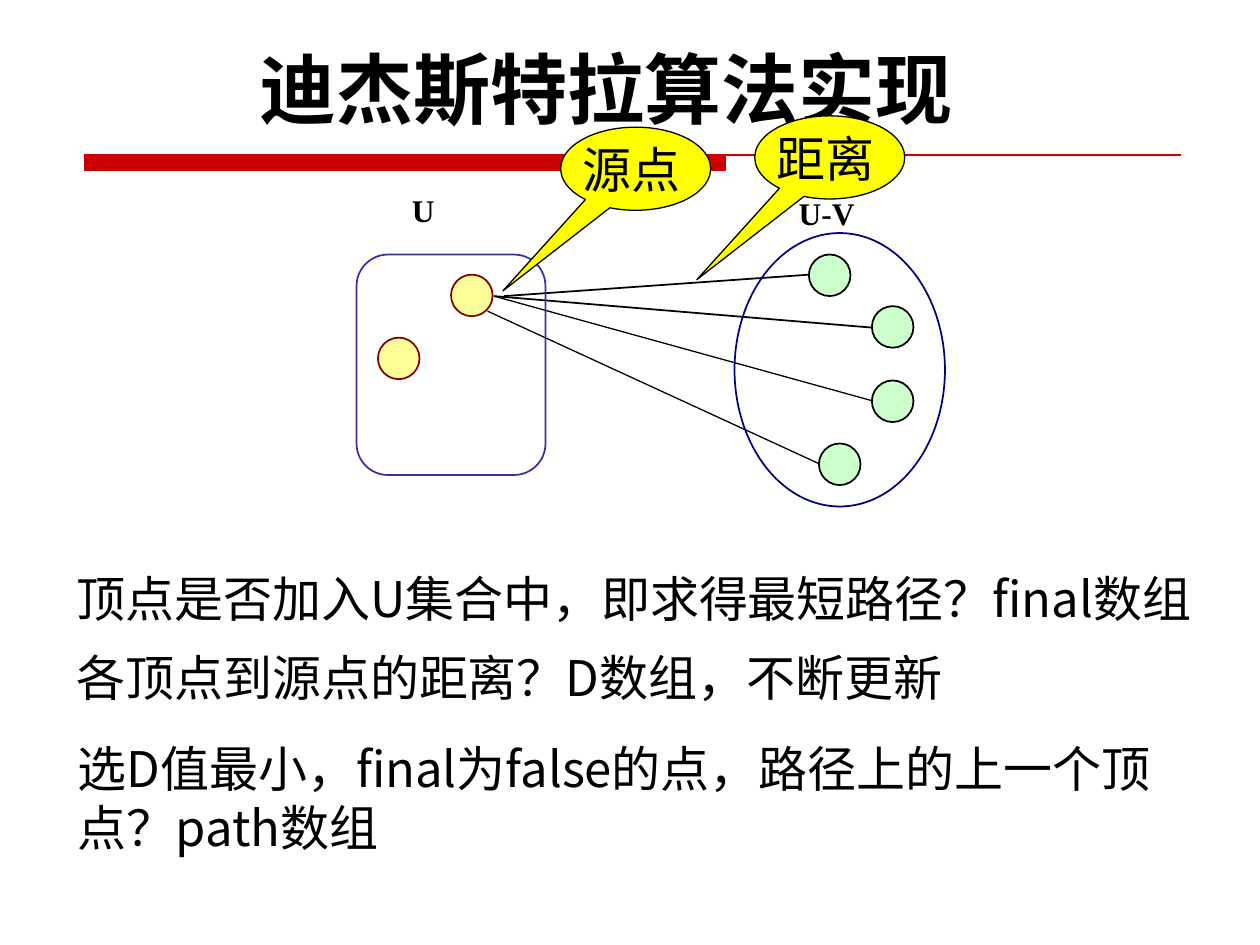
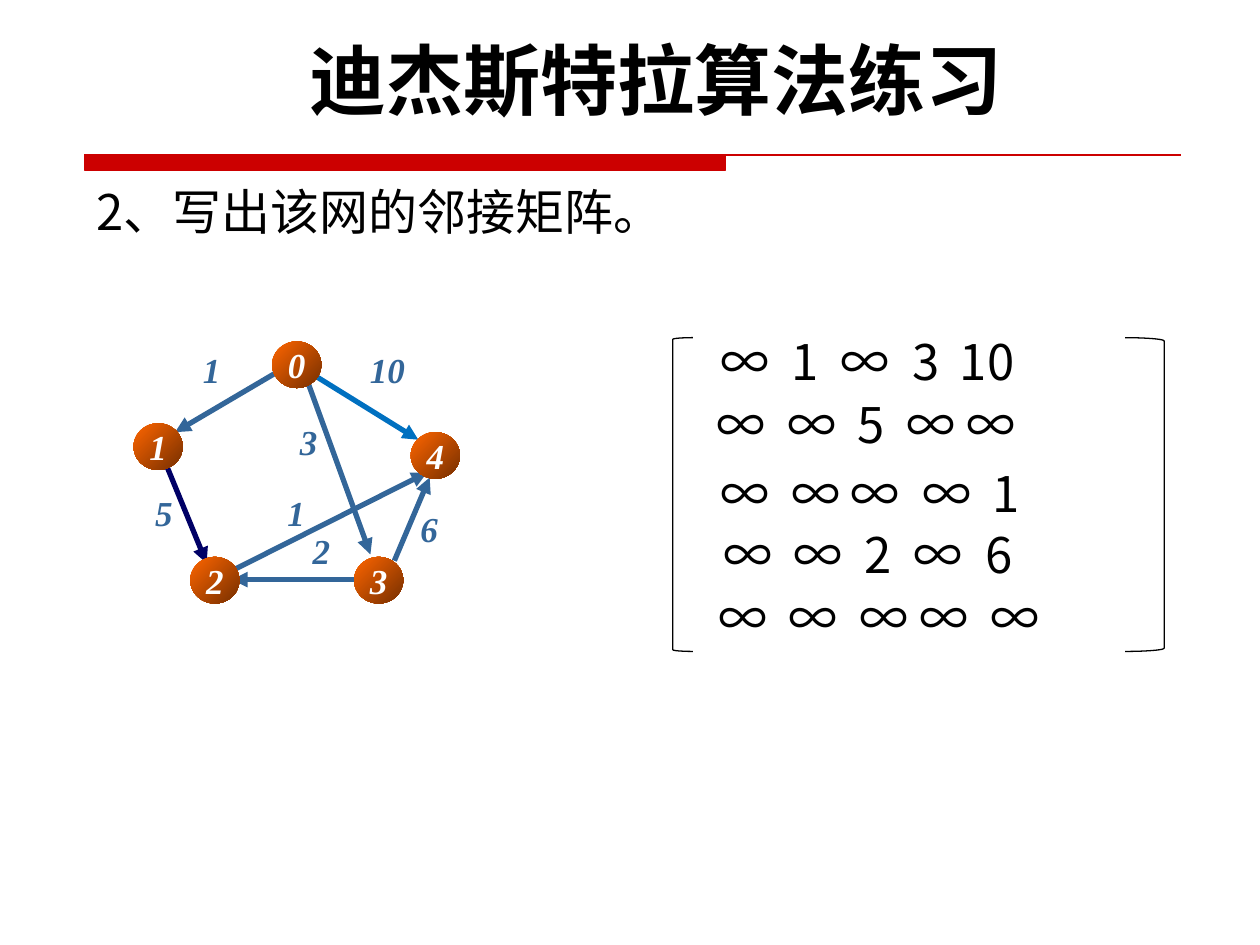
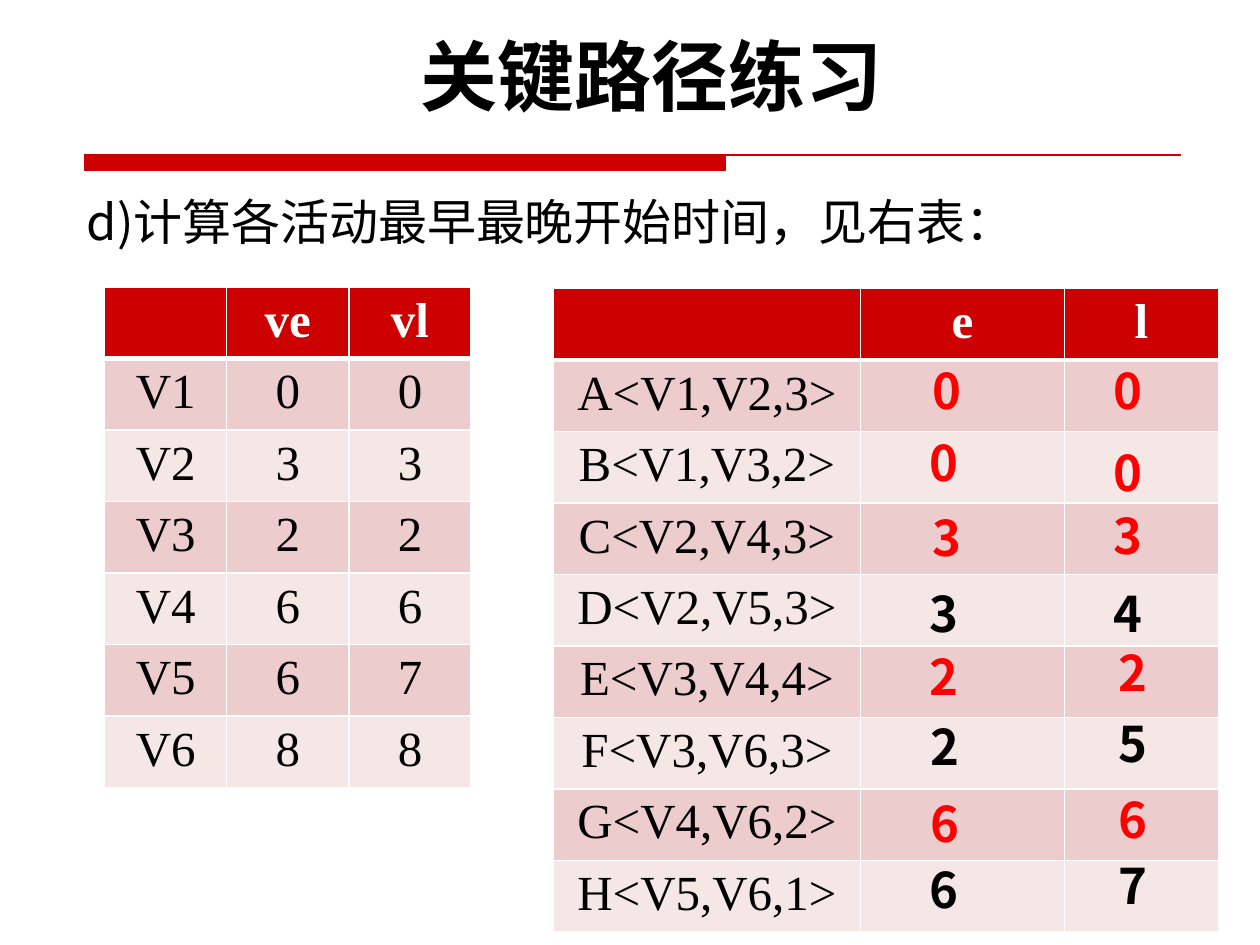
from lxml import etree
from pptx import Presentation
from pptx import util as u
from pptx.dml.color import RGBColor
from pptx.enum import shapes, text
from pptx.oxml.ns import qn

COLORS = {
    "black": "000000", "white": "FFFFFF", "band": "CC0000", "red": "FF0000",
    "set_u": "333399", "set_v": "000082", "cream": "FFFF99", "maroon": "800000",
    "mint": "CCFFCC", "yellow": "FFFF00", "edge": "336699", "navy": "000066",
    "blue": "0070C0", "orange": "FF6600", "brown": "762F00",
    "row_dark": "ECCCCC", "row_light": "F6E7E7",
}
RGB = {name: RGBColor.from_string(value) for name, value in COLORS.items()}
SANS, SERIF = "Noto Sans CJK SC", "Times New Roman"
TITLE = {"name": "Lato", "size": u.Pt(44), "bold": True}
LABEL = {"name": SERIF, "size": u.Pt(20), "bold": True, "italic": True}
KIND = shapes.MSO_SHAPE
CENTER, LEFT = text.PP_ALIGN.CENTER, text.PP_ALIGN.LEFT


def write(frame, words, color="black", align=LEFT, wrap=True, **font_format):
    """Fill a text frame with one paragraph and return that paragraph."""
    frame.word_wrap = wrap
    paragraph = frame.paragraphs[0]
    paragraph.alignment = align
    run = paragraph.add_run()
    run.text = words
    for name, value in {"name": SANS, "size": u.Pt(28), "bold": False, **font_format}.items():
        setattr(run.font, name, value)
    run.font.color.rgb = RGB[color]
    etree.SubElement(run.font._rPr, qn("a:ea"), typeface=SANS)
    return paragraph


def connect(slide, start, end, color="black", width=1.0, arrow=False):
    line = slide.shapes.add_connector(
        shapes.MSO_CONNECTOR.STRAIGHT, *map(u.Inches, start + end))
    line.line.color.rgb = RGB[color]
    line.line.width = u.Pt(width)
    if arrow:
        etree.SubElement(line.line._ln, qn("a:tailEnd"), type="triangle")
    etree.SubElement(line._element.spPr, qn("a:effectLst"))


presentation = Presentation()
presentation.slide_width, presentation.slide_height = u.Inches(10), u.Inches(7.5)
layout = presentation.slide_layouts[5]
for placeholder in list(layout.placeholders):
    if placeholder.placeholder_format.type != shapes.PP_PLACEHOLDER.TITLE:
        layout.shapes.element.remove(placeholder.element)

# Slides and titles
slides = []
for words, box, align in [
    ("迪杰斯特拉算法实现", (1.96, 0.28, 7.03, 0.84), LEFT),
    ("迪杰斯特拉算法练习", (0.67, 0.29, 9.08, 0.83), CENTER),
    ("关键路径练习", (0.55, 0.18, 9.25, 0.84), CENTER),
]:
    slide = presentation.slides.add_slide(layout)
    title = slide.shapes.title
    title.left, title.top, title.width, title.height = map(u.Inches, box)
    title.text_frame.auto_size = text.MSO_AUTO_SIZE.NONE
    title.text_frame.vertical_anchor = text.MSO_ANCHOR.TOP
    write(title.text_frame, words, align=align, **TITLE)
    slides.append(slide)
sets_slide, matrix_slide, times_slide = slides
matrix_slide.shapes.title.text_frame.paragraphs[0].line_spacing = 0.9

# Red band under the title, shared through the layout
left, middle, right, top, bottom = map(u.Inches, (0.67, 5.76, 9.37, 1.23, 1.35))
outline = sets_slide.shapes.build_freeform(left, top)
outline.add_line_segments([(middle, top), (middle, bottom), (left, bottom)], close=True)
outline.move_to(left, top)
outline.add_line_segments([(right, top)], close=False)
band = outline.convert_to_shape()
band.shadow.inherit = False
band.fill.solid()
band.fill.fore_color.rgb = band.line.color.rgb = RGB["band"]
band.line.width = u.Pt(0.75)
layout.shapes.element.append(band.element)

# Slide 1: vertex sets
source = (3.92, 2.35)
for start, end, width in [
    ((4, 2.35), (6.42, 2.18), 1), (source, (6.92, 2.6), 1),
    (source, (6.92, 3.18), 0.75), ((3.87, 2.47), (6.5, 3.68), 0.75),
]:
    connect(sets_slide, start, end, width=width)

vertices = [(3.58, 2.18, "cream", "maroon"), (3, 2.68, "cream", "maroon")]
vertices += [(x, y, "mint", "black")
             for x, y in [(6.42, 2.02), (6.92, 2.43), (6.5, 3.52), (6.92, 3.02)]]
figures = [
    (KIND.ROUNDED_RECTANGLE, (2.83, 2.02, 1.5, 1.75), None, "set_u", 1, ""),
    (KIND.OVAL, (5.83, 1.85, 1.67, 2.17), None, "set_v", 1, ""),
]
figures += [(KIND.OVAL, (x, y, 0.33, 0.33), fill, line, 1, "") for x, y, fill, line in vertices]
figures += [(KIND.OVAL_CALLOUT, (x, y, 1.19, 0.66), "yellow", "black", 0.75, words)
            for x, y, words in [(4.45, 1.01, "源点"), (5.99, 0.92, "距离")]]
for kind, box, fill, line, width, words in figures:
    shape = sets_slide.shapes.add_shape(kind, *map(u.Inches, box))
    shape.shadow.inherit = False
    shape.line.color.rgb = RGB[line]
    shape.line.width = u.Pt(width)
    if fill:
        shape.fill.solid()
        shape.fill.fore_color.rgb = RGB[fill]
    else:
        shape.fill.background()
    if words:
        shape.adjustments[0], shape.adjustments[1] = -0.886, 1.469
        frame = shape.text_frame
        for side in ("left", "top", "right", "bottom"):
            setattr(frame, f"margin_{side}", 0)
        frame.vertical_anchor = text.MSO_ANCHOR.TOP
        write(frame, words)

for words, box in [("U", (3.17, 1.47, 0.38, 0.4)), ("U-V", (6.24, 1.49, 0.65, 0.4))]:
    label = sets_slide.shapes.add_textbox(*map(u.Inches, box))
    write(label.text_frame, words, wrap=False, name=SERIF, size=u.Pt(18), bold=True)

# Sentences on all three slides
for slide, words, box in [
    (sets_slide, "顶点是否加入U集合中，即求得最短路径？final数组", (0.51, 4.46, 9.84, 0.57)),
    (sets_slide, "各顶点到源点的距离？D数组，不断更新", (0.51, 5.09, 8.74, 0.57)),
    (sets_slide, "选D值最小，final为false的点，路径上的上一个顶点？path数组",
     (0.52, 5.81, 8.9, 1.04)),
    (matrix_slide, "2、写出该网的邻接矩阵。", (0.67, 1.39, 8.74, 0.57)),
    (times_slide, "d)计算各活动最早最晚开始时间，见右表：", (0.59, 1.47, 9.2, 0.57)),
]:
    write(slide.shapes.add_textbox(*map(u.Inches, box)).text_frame, words)

# Slide 2: weighted graph
for start, end, color, weight, x, y, width in [
    ((2.48, 2.97), (3.32, 3.49), "blue", "10", 2.69, 2.72, 0.77),
    ((1.32, 3.69), (1.64, 4.47), "navy", "5", 1.06, 3.85, 0.48),
    ((2.29, 2.9), (1.39, 3.43), "edge", "1", 1.44, 2.72, 0.48),
    ((2.42, 2.97), (2.94, 4.4), "edge", "3", 2.21, 3.29, 0.48),
    ((2.81, 4.6), (1.84, 4.6), "edge", "2", 2.31, 4.15, 0.48),
    ((1.84, 4.53), (3.39, 3.75), "edge", "1", 2.11, 3.85, 0.48),
    ((3.13, 4.45), (3.41, 3.79), "edge", "6", 3.02, 3.98, 0.77),
]:
    connect(matrix_slide, start, end, color, 3, arrow=True)
    label = matrix_slide.shapes.add_textbox(*map(u.Inches, (x, y, width, 0.43)))
    write(label.text_frame, weight, "edge", CENTER, **LABEL)

for number, (x, y) in enumerate(
        [(2.16, 2.71), (1.06, 3.36), (1.51, 4.42), (2.81, 4.42), (3.26, 3.43)]):
    node = matrix_slide.shapes.add_shape(KIND.OVAL, *map(u.Inches, (x, y, 0.39, 0.37)))
    node.shadow.inherit = False
    node.line.fill.background()
    node.fill.gradient()
    node.fill.gradient_angle = 315
    for stop, position, color in zip(node.fill.gradient_stops, (0, 1), ("orange", "brown")):
        stop.position = position
        stop.color.rgb = RGB[color]
    node.text_frame.margin_left = node.text_frame.margin_right = 0
    node.text_frame.vertical_anchor = text.MSO_ANCHOR.MIDDLE
    write(node.text_frame, str(number), "white", CENTER, wrap=False, **LABEL)

# Slide 2: adjacency matrix
for kind, x, width in [(KIND.LEFT_BRACKET, 5.34, 0.16), (KIND.RIGHT_BRACKET, 8.93, 0.31)]:
    bracket = matrix_slide.shapes.add_shape(kind, *map(u.Inches, (x, 2.68, width, 2.49)))
    bracket.shadow.inherit = False
    bracket.fill.background()
    bracket.line.color.rgb = RGB["black"]
    bracket.line.width = u.Pt(0.75)

for entries, x, y, width, stops in [
    ("∞ 1 ∞ 3 10", 5.62, 2.58, 3.34, (0.56, 0.95, 1.52, 1.9)),
    ("∞ ∞ 5 ∞ ∞", 5.59, 3.08, 3.34, (0.56, 1.12, 1.51, 1.98)),
    ("∞ ∞ ∞ ∞ 1", 5.62, 3.63, 3.34, (0.56, 1.03, 1.6, 2.16)),
    ("∞ ∞ 2 ∞ 6", 5.64, 4.11, 3.34, (0.56, 1.12, 1.51, 2.08)),
    ("∞ ∞ ∞ ∞ ∞", 5.6, 4.61, 3.81, (0.56, 1.12, 1.6, 2.16)),
]:
    row = matrix_slide.shapes.add_textbox(*map(u.Inches, (x, y, width, 0.57)))
    paragraph = write(row.text_frame, "\t".join(entries.split()))
    tabs = etree.SubElement(paragraph._p.get_or_add_pPr(), qn("a:tabLst"))
    for stop in stops:
        etree.SubElement(tabs, qn("a:tab"), pos=str(u.Inches(stop)), algn="l")

# Slide 3: event and activity tables
events = [("", "ve", "vl"), ("V1", "0", "0"), ("V2", "3", "3"), ("V3", "2", "2"),
          ("V4", "6", "6"), ("V5", "6", "7"), ("V6", "8", "8")]
activities = [("", "e", "l")] + [(name, "", "") for name in (
    "A<V1,V2,3>", "B<V1,V3,2>", "C<V2,V4,3>", "D<V2,V5,3>",
    "E<V3,V4,4>", "F<V3,V6,3>", "G<V4,V6,2>", "H<V5,V6,1>")]
for rows, widths, x, y, height in [
    (activities, (2.44, 1.62, 1.22), 4.39, 2.29, 5.1),
    (events, (0.97, 0.97, 0.97), 0.83, 2.28, 3.97),
]:
    table = times_slide.shapes.add_table(
        len(rows), len(widths), *map(u.Inches, (x, y, sum(widths), height))).table
    for column, width in zip(table.columns, widths):
        column.width = u.Inches(width)
    for row_index, row in enumerate(rows):
        header = row_index == 0
        fill = "band" if header else ("row_light", "row_dark")[row_index % 2]
        for column_index, words in enumerate(row):
            cell = table.cell(row_index, column_index)
            properties = cell._tc.get_or_add_tcPr()
            for side in "LRTB":
                thick = (row_index, side) in [(0, "B"), (1, "T")]
                border = etree.SubElement(
                    properties, qn(f"a:ln{side}"), w=str(u.Pt(3 if thick else 1)))
                paint = etree.SubElement(border, qn("a:solidFill"))
                etree.SubElement(paint, qn("a:srgbClr"), val=COLORS["white"])
            cell.fill.solid()
            cell.fill.fore_color.rgb = RGB[fill]
            if words:
                write(cell.text_frame, words, "white" if header else "black", CENTER,
                      name=SERIF, bold=header)

# Slide 3: earliest and latest starts, critical activities in red
for earliest, e_x, e_y, latest, l_x, l_y in [
    ("0", 7.3, 2.81, "0", 8.74, 2.81), ("0", 7.28, 3.38, "0", 8.74, 3.46),
    ("3", 7.3, 3.98, "3", 8.74, 3.96), ("3", 7.28, 4.58, "4", 8.74, 4.58),
    ("2", 7.28, 5.08, "2", 8.78, 5.05), ("2", 7.29, 5.64, "5", 8.78, 5.61),
    ("6", 7.29, 6.25, "6", 8.78, 6.22), ("6", 7.28, 6.77, "7", 8.78, 6.74),
]:
    color = "red" if earliest == latest else "black"
    for words, x, y in [(earliest, e_x, e_y), (latest, l_x, l_y)]:
        start_time = times_slide.shapes.add_textbox(*map(u.Inches, (x, y, 0.79, 0.57)))
        write(start_time.text_frame, words, color, bold=True)

presentation.save("out.pptx")
